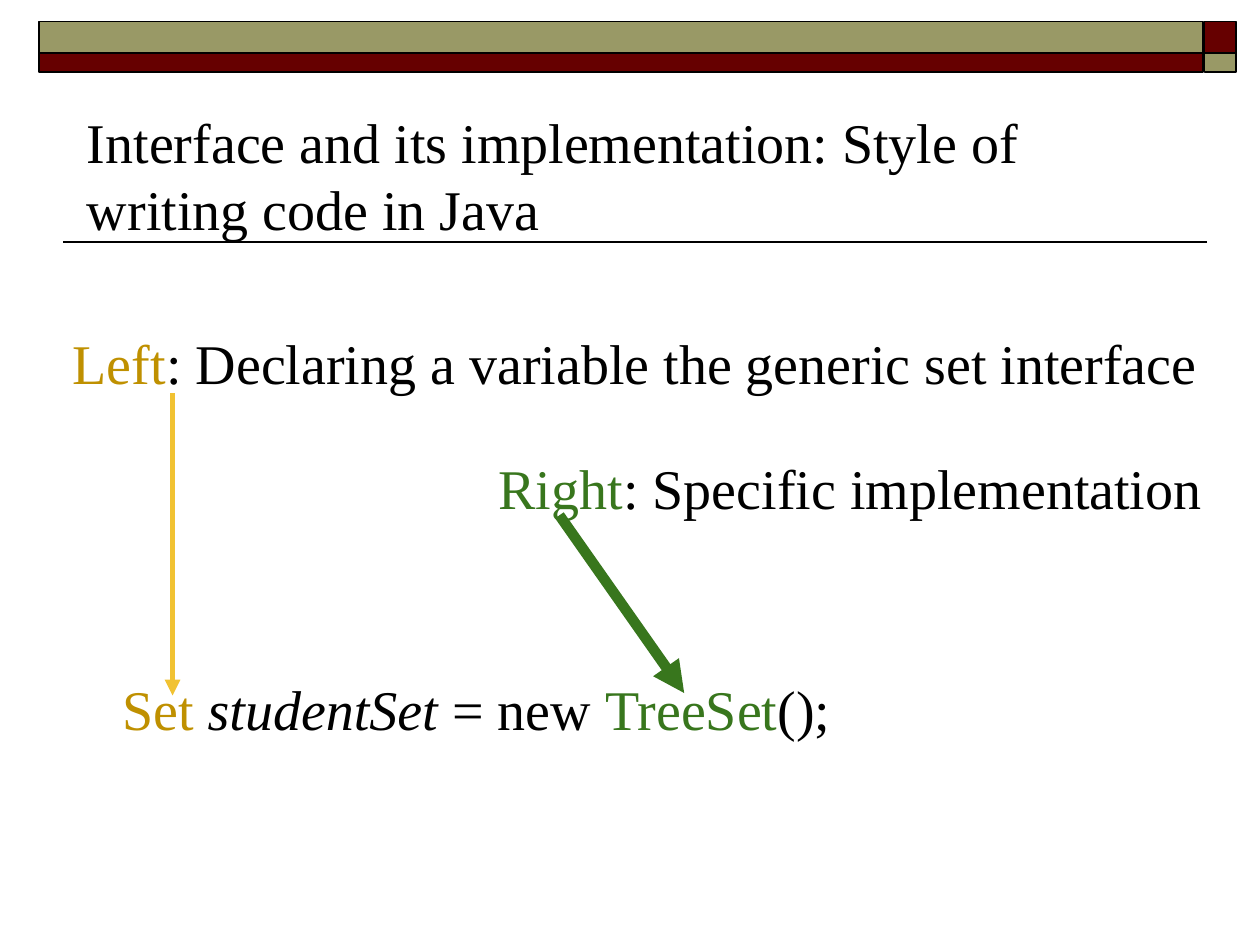
from lxml import etree
from pptx import Presentation
from pptx.dml.color import RGBColor
from pptx.enum.shapes import MSO_CONNECTOR, MSO_SHAPE
from pptx.enum.text import MSO_ANCHOR, MSO_AUTO_SIZE, PP_ALIGN
from pptx.oxml.ns import qn
from pptx.util import Inches, Pt

STRAIGHT = MSO_CONNECTOR.STRAIGHT
RECTANGLE = MSO_SHAPE.RECTANGLE
TOP = MSO_ANCHOR.TOP
LEFT = PP_ALIGN.LEFT
FIT_SHAPE, FIT_NONE = MSO_AUTO_SIZE.SHAPE_TO_FIT_TEXT, MSO_AUTO_SIZE.NONE

BLACK, MAROON, OLIVE = "000000", "660000", "999966"
GOLD, YELLOW, GREEN = "BF9000", "F1C232", "38761D"

TITLE = [("Interface and its implementation: Style of writing code in Java", BLACK, False)]
TITLE_AREA = (0.59, 0.75, 8.81, 1.09)
NOTES = [
    ((0.48, 2.51, 9.47, 0.74), [
        ("Left", GOLD, False),
        (": Declaring a variable the generic set interface", BLACK, False),
    ]),
    ((3.86, 3.5, 6.14, 0.74), [
        ("Right", GREEN, False),
        (": Specific implementation", BLACK, False),
    ]),
    ((0.87, 5.25, 7.92, 0.74), [
        ("Set ", GOLD, False),
        ("studentSet ", BLACK, True),
        ("= new ", BLACK, False),
        ("TreeSet", GREEN, False),
        ("();", BLACK, False),
    ]),
]
BAND_COLUMNS = [(0.31, 9.24), (9.56, 0.25)]
BAND_ROWS = [(0.17, 0.25), (0.42, 0.15)]
BAND_COLOURS = [(OLIVE, MAROON), (MAROON, OLIVE)]
RULE = ((9.58, 1.92), (0.5, 1.92), BLACK, 1)
ARROWS = [
    ((1.37, 3.12), (1.37, 5.52), YELLOW, 3),
    ((4.44, 4.09), (5.43, 5.5), GREEN, 6),
]
FRAME = dict(word_wrap=True, vertical_anchor=TOP,
             **{"margin_" + side: Inches(0.1) for side in ("left", "top", "right", "bottom")})


def colour(value):
    return RGBColor.from_string(value)


def apply_format(target, values):
    for name, value in values.items():
        setattr(target, name, value)


def place(box, area):
    apply_format(box, dict(zip(("left", "top", "width", "height"), map(Inches, area))))


def write(box, spans, fit):
    apply_format(box.text_frame, {**FRAME, "auto_size": fit})
    para = box.text_frame.paragraphs[0]
    apply_format(para, dict(alignment=LEFT, line_spacing=1.0, space_before=Pt(0)))
    for text, tint, italic in spans:
        span = para.add_run()
        span.text = text
        apply_format(span.font, dict(name="Times New Roman", size=Pt(32), bold=False, italic=italic))
        span.font.color.rgb = colour(tint)


def add_line(page, start, end, tint, width, arrow=False):
    line = page.shapes.add_connector(STRAIGHT, *map(Inches, start + end))
    line.line.color.rgb = colour(tint)
    line.line.width = Pt(width)
    if arrow:
        etree.SubElement(line.line._get_or_add_ln(), qn("a:tailEnd"), type="triangle")
    etree.SubElement(line._element.spPr, qn("a:effectLst"))


def add_bands(page):
    for (left, width), colours in zip(BAND_COLUMNS, BAND_COLOURS):
        for (top, height), tint in zip(BAND_ROWS, colours):
            band = page.shapes.add_shape(RECTANGLE, *map(Inches, (left, top, width, height)))
            band.shadow.inherit = False
            band.fill.solid()
            band.fill.fore_color.rgb = colour(tint)
            band.line.color.rgb = colour(BLACK)
            band.line.width = Pt(1)


def main():
    deck = Presentation()
    deck.slide_width, deck.slide_height = Inches(10), Inches(7.5)
    page = deck.slides.add_slide(deck.slide_layouts[5])
    add_line(page, *RULE)
    add_bands(page)
    place(page.shapes.title, TITLE_AREA)
    write(page.shapes.title, TITLE, FIT_NONE)
    for area, spans in NOTES:
        box = page.shapes.add_textbox(*map(Inches, area))
        write(box, spans, FIT_SHAPE)
    for arrow in ARROWS:
        add_line(page, *arrow, arrow=True)
    deck.save("out.pptx")


if __name__ == "__main__":
    main()
